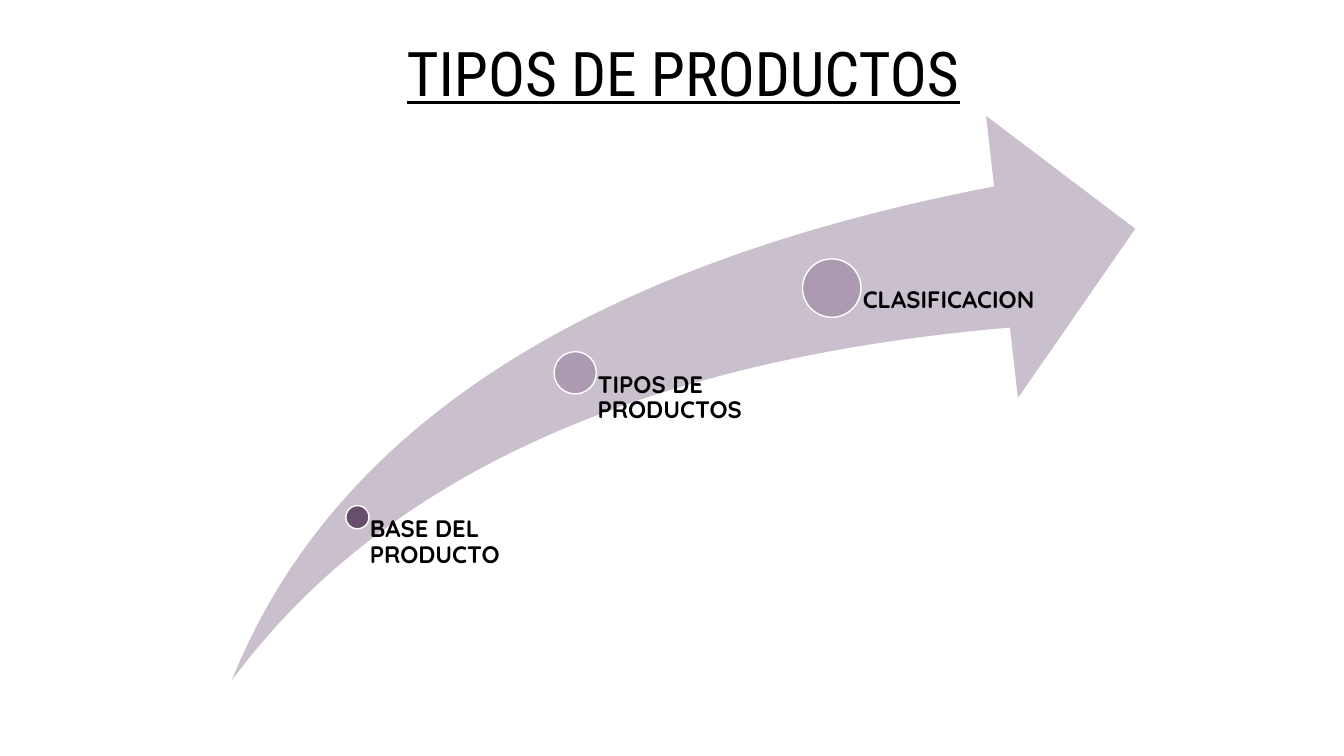
from dataclasses import dataclass

from pptx import Presentation
from pptx.dml.color import RGBColor
from pptx.enum.shapes import MSO_SHAPE
from pptx.enum.text import MSO_ANCHOR, PP_ALIGN
from pptx.util import Pt

PX = 9144
SWOOSH, OVAL = MSO_SHAPE.SWOOSH_ARROW, MSO_SHAPE.OVAL
TOP, BOTTOM = MSO_ANCHOR.TOP, MSO_ANCHOR.BOTTOM
LEFT, CENTER = PP_ALIGN.LEFT, PP_ALIGN.CENTER


@dataclass(frozen=True)
class Theme:
    """Colours, fonts and type sizes of the slide."""
    ink: str = "000000"
    paper: str = "FFFFFF"
    swoosh: str = "CAC0CD"
    dark: str = "674E6D"
    light: str = "AC9AB1"
    head: str = "Roboto Condensed"
    body: str = "Quicksand"
    title: int = 44
    label: int = 17


THEME = Theme()
STAGES = [
    ("BASE DEL PRODUCTO", 0.139, 0.711, 23, 209, THEME.dark),
    ("TIPOS DE PRODUCTOS", 0.38, 0.455, 42, 215, THEME.light),
    ("CLASIFICACION", 0.664, 0.305, 58, 215, THEME.light),
]


def emu(*sizes):
    """Turn px lengths into EMU."""
    return [round(size * PX) for size in sizes]


def write(shape, text, font, size, align, anchor, gap, pads):
    """Set the frame of a shape and write one run into it."""
    frame = shape.text_frame
    frame.word_wrap = True
    frame.vertical_anchor = anchor
    (frame.margin_left, frame.margin_top,
     frame.margin_right, frame.margin_bottom) = emu(*pads)
    para = frame.paragraphs[0]
    para.alignment, para.line_spacing = align, gap
    run = para.add_run()
    run.text = text
    run.font.name, run.font.size = font, Pt(size)
    run.font.color.rgb = RGBColor.from_string(THEME.ink)
    return run.font


def draw(slide, kind, box, fill):
    """Add a flat preset shape without an outline."""
    shape = slide.shapes.add_shape(kind, *emu(*box))
    shape.shadow.inherit = False
    shape.fill.solid()
    shape.fill.fore_color.rgb = RGBColor.from_string(fill)
    shape.line.fill.background()
    return shape


def add_title(slide, box, text):
    """Place the underlined title in its box."""
    title = slide.shapes.title
    title.left, title.top, title.width, title.height = emu(*box)
    font = write(title, text, THEME.head, THEME.title, CENTER, BOTTOM,
                 0.85, (13, 7, 13, 7))
    font.underline = True


def add_stage(slide, box, stage):
    """Place a dot on the arrow, with its label hung from the dot's centre."""
    text, across, down, size, width, fill = stage
    left, top, wide, high = box
    x, y = left + wide * across, top + high * down
    dot = draw(slide, OVAL, (x - size / 2, y - size / 2, size, size), fill)
    dot.line.color.rgb = RGBColor.from_string(THEME.paper)
    dot.line.width = Pt(1)
    label = slide.shapes.add_textbox(*emu(x, y, width, top + high - y))
    font = write(label, text, THEME.body, THEME.label, LEFT, TOP,
                 0.9, (size * 0.53, 0, 0, 0))
    font.bold = True


def add_arrow(slide, box, stages):
    """Draw the rising arrow and its stages."""
    arrow = draw(slide, SWOOSH, box, THEME.swoosh)
    arrow.adjustments[0] = arrow.adjustments[1] = 0.25
    for stage in stages:
        add_stage(slide, box, stage)


def main():
    """Build and save the slide."""
    deck = Presentation()
    deck.slide_width, deck.slide_height = emu(1333, 750)
    slide = deck.slides.add_slide(deck.slide_layouts[5])
    add_title(slide, (122, 8, 1111, 107), "TIPOS DE PRODUCTOS")
    add_arrow(slide, (230, 115, 896, 560), STAGES)
    deck.save("out.pptx")


if __name__ == "__main__":
    main()
